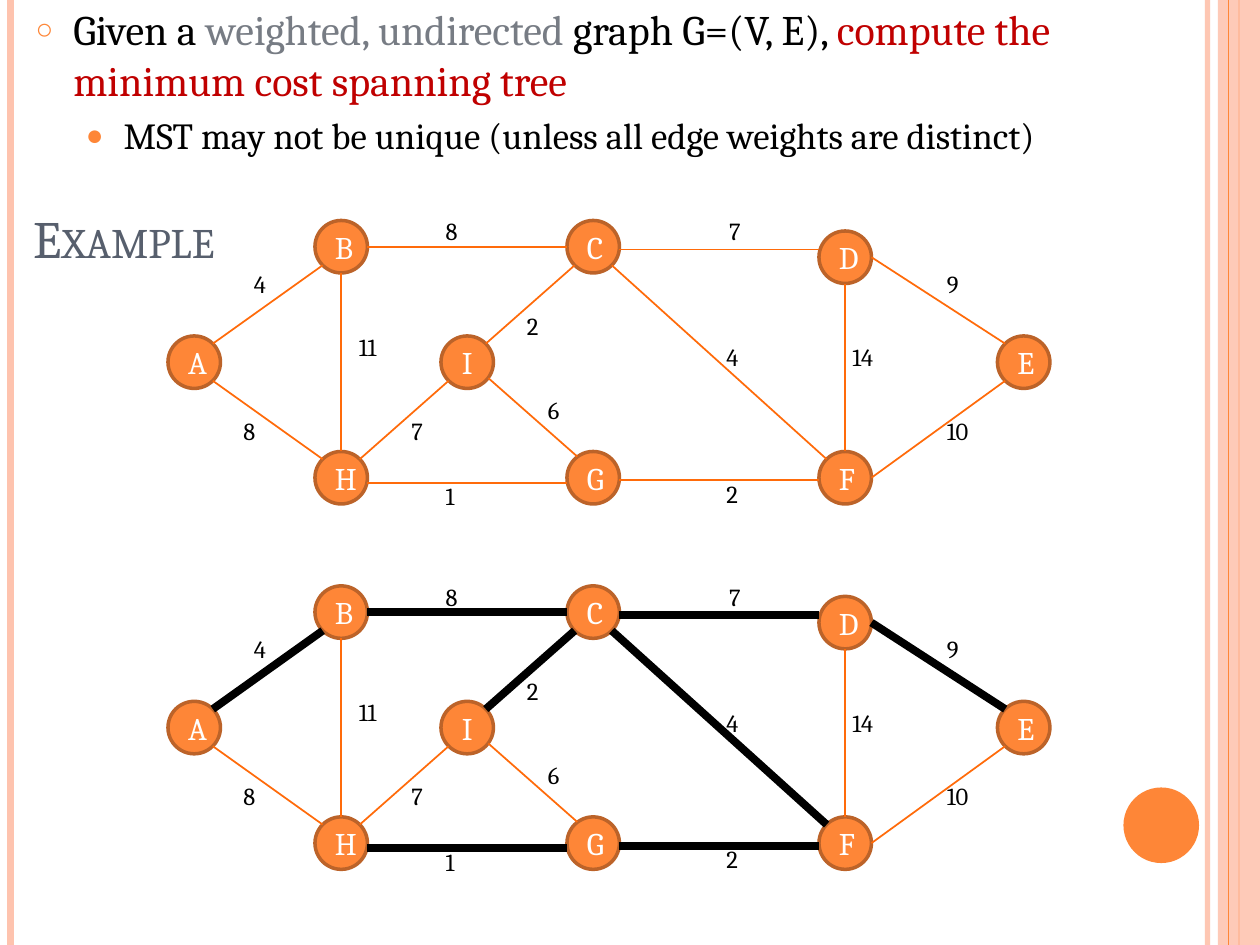
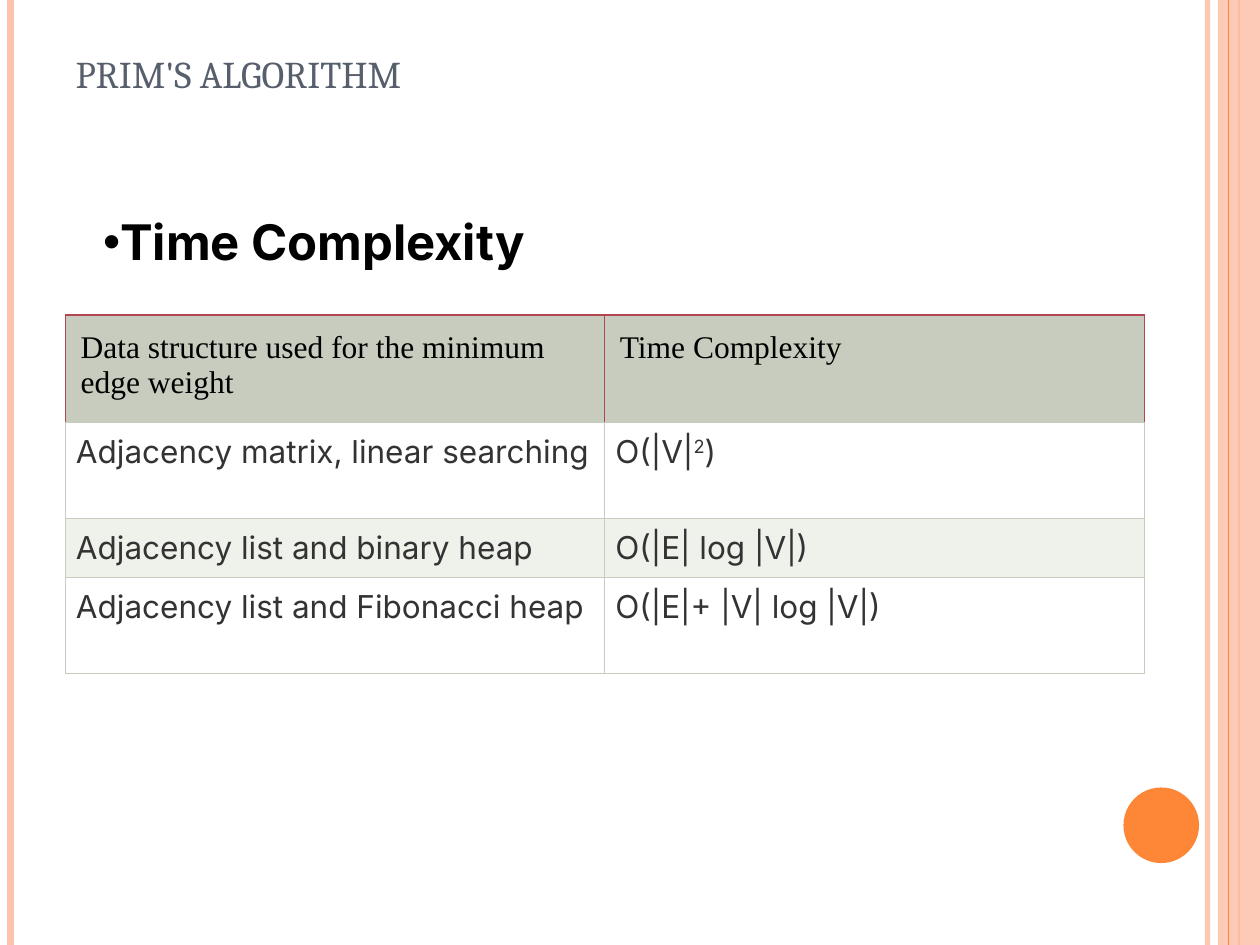
"""Build two slides on minimum spanning trees, laid out on a grid of twelfths of an inch."""
from dataclasses import dataclass
from typing import NamedTuple

import pptx
import pptx.dml.color
import pptx.dml.fill
import pptx.enum.shapes
import pptx.enum.text
import pptx.oxml
import pptx.oxml.ns
import pptx.shapes.autoshape
import pptx.shapes.shapetree
import pptx.slide
import pptx.table
import pptx.text.text
import pptx.util

COLUMNS, ROWS = 120, 90
ORANGE, PEACH, RUST, EDGE = "FE8637", "FEC3AE", "BC6329", "FF6B0A"
SLATE, GREY, RED = "575F6D", "777C84", "C00000"
BLACK, WHITE, CHARCOAL = "000000", "FFFFFF", "333333"
SAGE, PALE_SAGE, CRIMSON = "C7CCBE", "EFF1EB", "B04752"
SERIF, SANS, ROMAN = "Cambria", "Inter", "Times New Roman"
DIAMETER = 5
TREE_ROW_OFFSET = 34.8


class Box(NamedTuple):
    column: float
    row: float
    width: float
    height: float

    def lengths(self) -> list[int]:
        return [grid(value) for value in self]


class Style(NamedTuple):
    size: float
    font: str
    color: str
    bold: bool = False


class Rule(NamedTuple):
    column: float
    color: str
    width: float
    opacity: int = 100


class Port(NamedTuple):
    across: float
    down: float


class Label(NamedTuple):
    text: str
    column: float
    row: float


class Bullet(NamedTuple):
    character: str
    color: str
    percent: int
    indent: float = 0
    hanging: float = 0


@dataclass(frozen=True)
class Edge:
    start: str
    start_port: Port
    end: str
    end_port: Port
    label: Label
    in_tree: bool = False
    shift: Port = Port(0, 0)


DIAGONAL = 0.5 ** 0.5
RIGHT, LEFT, TOP, BOTTOM = Port(1, 0), Port(-1, 0), Port(0, -1), Port(0, 1)
UP_RIGHT, DOWN_RIGHT = Port(DIAGONAL, -DIAGONAL), Port(DIAGONAL, DIAGONAL)
UP_LEFT, DOWN_LEFT = Port(-DIAGONAL, -DIAGONAL), Port(-DIAGONAL, DIAGONAL)

NODES = {
    "A": (16, 32), "I": (42, 32), "E": (95, 32), "G": (54, 43), "F": (78, 43),
    "H": (30, 43), "B": (30, 21), "C": (54, 21), "D": (78, 22),
}
EDGES = [
    Edge("A", UP_RIGHT, "B", DOWN_LEFT, Label("4", 23, 25), True),
    Edge("F", RIGHT, "E", DOWN_LEFT, Label("10", 89, 39)),
    Edge("A", DOWN_RIGHT, "H", UP_LEFT, Label("8", 22, 39)),
    Edge("D", RIGHT, "E", UP_LEFT, Label("9", 89, 25), True),
    Edge("B", RIGHT, "C", LEFT, Label("8", 41.25, 20), True),
    Edge("H", RIGHT, "G", LEFT, Label("1", 41.25, 45.25), True, Port(0, 0.5)),
    Edge("C", RIGHT, "D", LEFT, Label("7", 68.25, 20), True, Port(0, 0.25)),
    Edge("G", RIGHT, "F", LEFT, Label("2", 68, 45), True, Port(0, 0.25)),
    Edge("C", DOWN_LEFT, "I", UP_RIGHT, Label("2", 49, 29), True),
    Edge("I", DOWN_LEFT, "H", UP_RIGHT, Label("7", 38, 39)),
    Edge("G", UP_LEFT, "I", DOWN_RIGHT, Label("6", 51, 37), False, Port(0.25, -0.25)),
    Edge("B", BOTTOM, "H", TOP, Label("11", 33, 31)),
    Edge("D", BOTTOM, "F", TOP, Label("14", 80, 32)),
    Edge("C", DOWN_RIGHT, "F", UP_LEFT, Label("4", 68, 32), True),
]
RULES_BEHIND = [Rule(115, PEACH, 3, 93), Rule(1, PEACH, 4.5), Rule(118, ORANGE, 1.5)]
RULE_IN_FRONT = Rule(117, ORANGE, 0.75)
COMPLEXITIES = [
    ("Data structure used for the minimum edge weight", "Time Complexity"),
    ("Adjacency matrix, linear searching", "O(|V|^2)"),
    ("Adjacency list and binary heap", "O(|E| log |V|)"),
    ("Adjacency list and Fibonacci heap", "O(|E|+ |V| log |V|)"),
]
ROW_HEIGHTS = [10.2, 9.15, 5.55, 9.15]
ROW_FILLS = [SAGE, WHITE, PALE_SAGE, WHITE]


def grid(units: float) -> int:
    return round(pptx.util.Inches(units / 12))


def rgb(color: str) -> pptx.dml.color.RGBColor:
    return pptx.dml.color.RGBColor.from_string(color)


def element(tag: str, parent, **attributes: str):
    child = pptx.oxml.parse_xml(f"<{tag} {pptx.oxml.ns.nsdecls('a')}/>")
    for name, value in attributes.items():
        child.set(name, value)
    parent.append(child)
    return child


def paint(fill: pptx.dml.fill.FillFormat, color: str, opacity: int = 100) -> None:
    fill.solid()
    fill.fore_color.rgb = rgb(color)
    if opacity < 100:
        color_element = fill._xPr.find(".//" + pptx.oxml.ns.qn("a:srgbClr"))
        element("a:alpha", color_element, val=str(opacity * 1000))


def style_text(paragraph: pptx.text.text._Paragraph, style: Style) -> None:
    font = paragraph.font
    font.size, font.name, font.bold = pptx.util.Pt(style.size), style.font, style.bold
    font.color.rgb = rgb(style.color)


def add_bullet(paragraph: pptx.text.text._Paragraph, bullet: Bullet) -> None:
    properties = paragraph._p.get_or_add_pPr()
    properties.set("marL", str(grid(bullet.indent)))
    properties.set("indent", str(-grid(bullet.hanging)))
    color = element("a:buClr", properties)
    element("a:srgbClr", color, val=bullet.color)
    element("a:buSzPct", properties, val=str(bullet.percent * 1000))
    element("a:buFont", properties, typeface="Arial")
    element("a:buChar", properties, char=bullet.character)


def add_line(shapes: pptx.shapes.shapetree._BaseGroupShapes, start: Port, end: Port,
             color: str, width: float, opacity: int = 100) -> None:
    ends = [grid(value) for value in (*start, *end)]
    line = shapes.add_connector(pptx.enum.shapes.MSO_CONNECTOR.STRAIGHT, *ends)
    line.line.width = pptx.util.Pt(width)
    paint(line.line.fill, color, opacity)
    element("a:effectLst", line._element.spPr)


def add_filled(shapes: pptx.shapes.shapetree._BaseGroupShapes, kind: pptx.enum.shapes.MSO_SHAPE,
               box: Box, color: str, opacity: int = 100) -> pptx.shapes.autoshape.Shape:
    shape = shapes.add_shape(kind, *box.lengths())
    shape.shadow.inherit = False
    shape.line.fill.background()
    paint(shape.fill, color, opacity)
    return shape


def add_rule(slide: pptx.slide.Slide, rule: Rule) -> None:
    add_line(slide.shapes, Port(rule.column, 0), Port(rule.column, ROWS),
             rule.color, rule.width, rule.opacity)


def add_slide(presentation, title: str, box: Box, size: float) -> pptx.slide.Slide:
    slide = presentation.slides.add_slide(presentation.slide_layouts[5])
    for rule in RULES_BEHIND:
        add_rule(slide, rule)
    add_filled(slide.shapes, pptx.enum.shapes.MSO_SHAPE.RECTANGLE, Box(116, 0, 4, ROWS), PEACH, 87)
    add_rule(slide, RULE_IN_FRONT)
    add_filled(slide.shapes, pptx.enum.shapes.MSO_SHAPE.OVAL, Box(107, 75, 7.2, 7.2), ORANGE)
    placeholder = slide.shapes.title
    placeholder.left, placeholder.top, placeholder.width, placeholder.height = box.lengths()
    frame = placeholder.text_frame
    frame.text = title
    frame.auto_size = pptx.enum.text.MSO_AUTO_SIZE.NONE
    frame.vertical_anchor = pptx.enum.text.MSO_ANCHOR.BOTTOM
    paragraph = frame.paragraphs[0]
    paragraph.alignment = pptx.enum.text.PP_ALIGN.LEFT
    style_text(paragraph, Style(size, SERIF, SLATE))
    paragraph.runs[0]._r.get_or_add_rPr().set("cap", "small")
    return slide


def add_node(shapes: pptx.shapes.shapetree.GroupShapes, name: str, box: Box) -> None:
    node = add_filled(shapes, pptx.enum.shapes.MSO_SHAPE.OVAL, box, ORANGE)
    paint(node.line.fill, RUST)
    node.line.width = pptx.util.Pt(2)
    paragraph = node.text_frame.paragraphs[0]
    paragraph.text = name
    paragraph.alignment = pptx.enum.text.PP_ALIGN.CENTER
    style_text(paragraph, Style(18, SERIF, WHITE))


def add_label(shapes: pptx.shapes.shapetree.GroupShapes, label: Label, offset: float) -> None:
    width = 2.4 + 1.3 * len(label.text)
    frame = shapes.add_textbox(*Box(label.column, label.row + offset, width, 4).lengths()).text_frame
    frame.word_wrap = False
    frame.auto_size = pptx.enum.text.MSO_AUTO_SIZE.SHAPE_TO_FIT_TEXT
    frame.text = label.text
    style_text(frame.paragraphs[0], Style(14, SERIF, BLACK))


def port_at(node: str, port: Port, shift: Port, offset: float) -> Port:
    column, row = NODES[node]
    radius = DIAMETER / 2
    return Port(column + radius * (1 + port.across) + shift.across,
                row + radius * (1 + port.down) + shift.down + offset)


def add_graph(slide: pptx.slide.Slide, offset: float, show_tree: bool) -> None:
    shapes = slide.shapes.add_group_shape().shapes
    for name, (column, row) in NODES.items():
        add_node(shapes, name, Box(column, row + offset, DIAMETER, DIAMETER))
    for edge in EDGES:
        start = port_at(edge.start, edge.start_port, edge.shift, offset)
        end = port_at(edge.end, edge.end_port, edge.shift, offset)
        if edge.end_port == LEFT:
            end = Port(end.across, start.down)
        color, width = (BLACK, 4.5) if show_tree and edge.in_tree else (EDGE, 1)
        add_line(shapes, start, end, color, width)
    for edge in EDGES:
        add_label(shapes, edge.label, offset)


def add_problem(slide: pptx.slide.Slide) -> None:
    frame = slide.shapes.add_textbox(*Box(2.2, -0.24, 112.2, 21.6).lengths()).text_frame
    frame.word_wrap = True
    problem = frame.paragraphs[0]
    add_bullet(problem, Bullet("○", ORANGE, 70, 3.6, 3.6))
    problem.space_before = pptx.util.Pt(6)
    style_text(problem, Style(24, SERIF, BLACK))
    for text, color in [("Given a ", BLACK), ("weighted, undirected ", GREY),
                        ("graph G=(V, E), ", BLACK),
                        ("compute the minimum cost spanning tree", RED)]:
        run = problem.add_run()
        run.text = text
        run.font.color.rgb = rgb(color)
    remark = frame.add_paragraph()
    remark.text = "MST may not be unique (unless all edge weights are distinct)"
    remark.level = 1
    add_bullet(remark, Bullet("●", ORANGE, 80, 8.4, 3.6))
    remark.space_before = pptx.util.Pt(5)
    style_text(remark, Style(21, SERIF, BLACK))


def fill_cell(cell: pptx.table._Cell, text: str, fill: str, is_header: bool) -> None:
    margin = grid(1.44 if is_header else 1)
    cell.margin_left = cell.margin_right = cell.margin_top = cell.margin_bottom = margin
    for side in "LRTB":
        border = element(f"a:ln{side}", cell._tc.get_or_add_tcPr(), w=str(pptx.util.Pt(0.75)))
        color = CRIMSON if is_header and side != "B" else SAGE
        element("a:srgbClr", element("a:solidFill", border), val=color)
    paint(cell.fill, fill)
    paragraph = cell.text_frame.paragraphs[0]
    base, caret, power = text.partition("^")
    paragraph.add_run().text = base
    if caret:
        exponent = paragraph.add_run()
        exponent.text = power[0]
        exponent._r.get_or_add_rPr().set("baseline", "30000")
        paragraph.add_run().text = power[1:]
    if not is_header:
        paragraph.alignment = pptx.enum.text.PP_ALIGN.JUSTIFY
    style_text(paragraph, Style(18, ROMAN, BLACK) if is_header else Style(18, SANS, CHARCOAL))


def add_complexities(slide: pptx.slide.Slide) -> None:
    box = Box(6.24, 30, 102.72, sum(ROW_HEIGHTS))
    table = slide.shapes.add_table(len(COMPLEXITIES), 2, *box.lengths()).table
    table.first_row = table.horz_banding = False
    for index, (texts, height, fill) in enumerate(zip(COMPLEXITIES, ROW_HEIGHTS, ROW_FILLS)):
        table.rows[index].height = grid(height)
        for column, text in enumerate(texts):
            fill_cell(table.cell(index, column), text, fill, index == 0)


def add_heading(slide: pptx.slide.Slide) -> None:
    frame = slide.shapes.add_textbox(*Box(8.64, 19.56, 47.28, 6.84).lengths()).text_frame
    frame.word_wrap = True
    frame.vertical_anchor = pptx.enum.text.MSO_ANCHOR.MIDDLE
    frame.text = "Time Complexity"
    add_bullet(frame.paragraphs[0], Bullet("•", BLACK, 100))
    style_text(frame.paragraphs[0], Style(28, SANS, BLACK, True))


def main() -> None:
    presentation = pptx.Presentation()
    presentation.slide_width, presentation.slide_height = grid(COLUMNS), grid(ROWS)
    example = add_slide(presentation, "Example", Box(2, 11.25, 98, 15), 30)
    add_graph(example, 0, False)
    add_graph(example, TREE_ROW_OFFSET, True)
    add_problem(example)
    prim = add_slide(presentation, "prim's algorithm", Box(6, 3.6, 98, 6.36), 27)
    add_complexities(prim)
    add_heading(prim)
    presentation.save("out.pptx")


if __name__ == "__main__":
    main()
